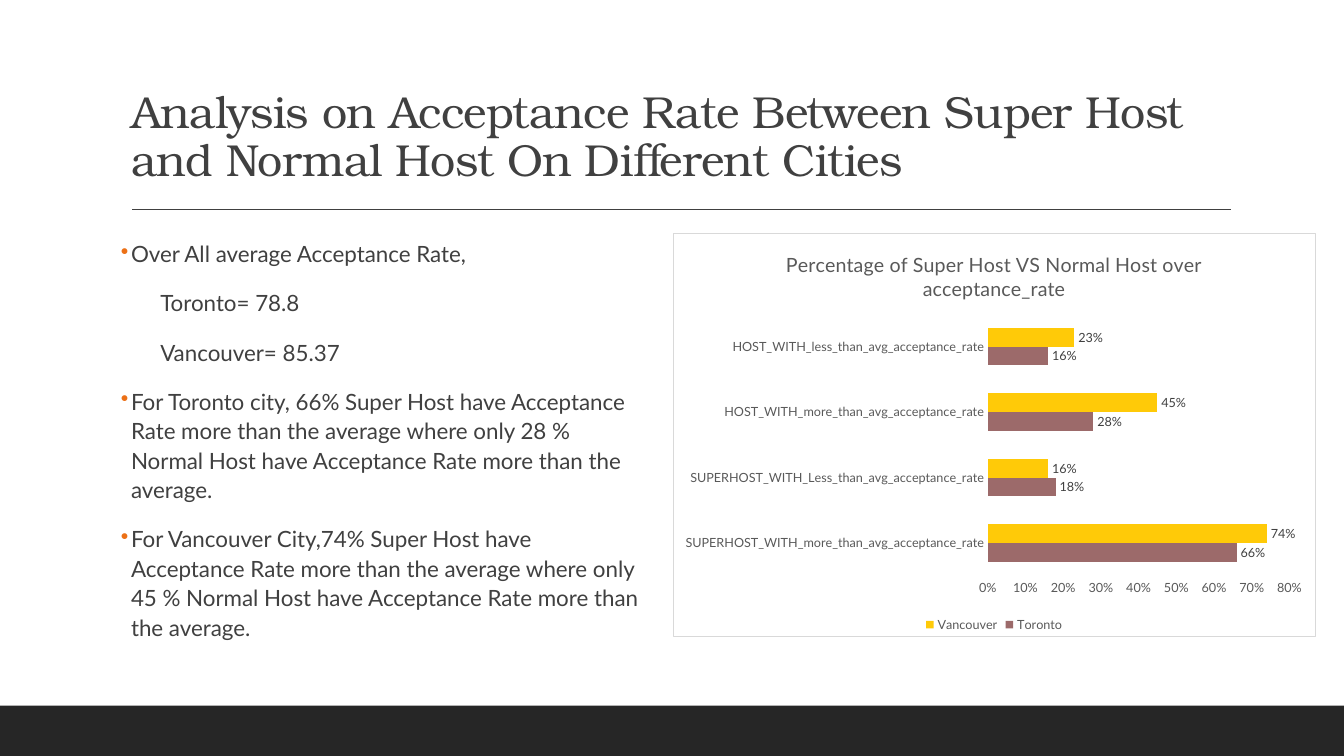
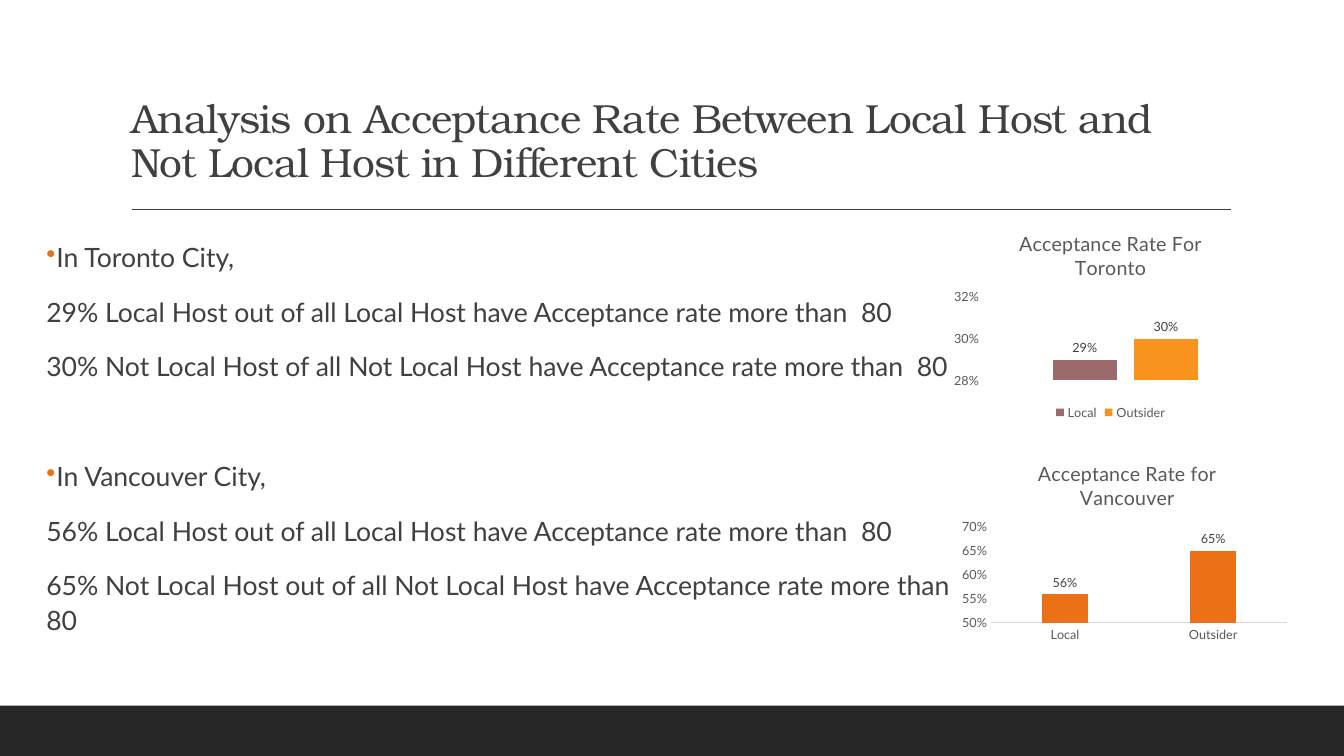
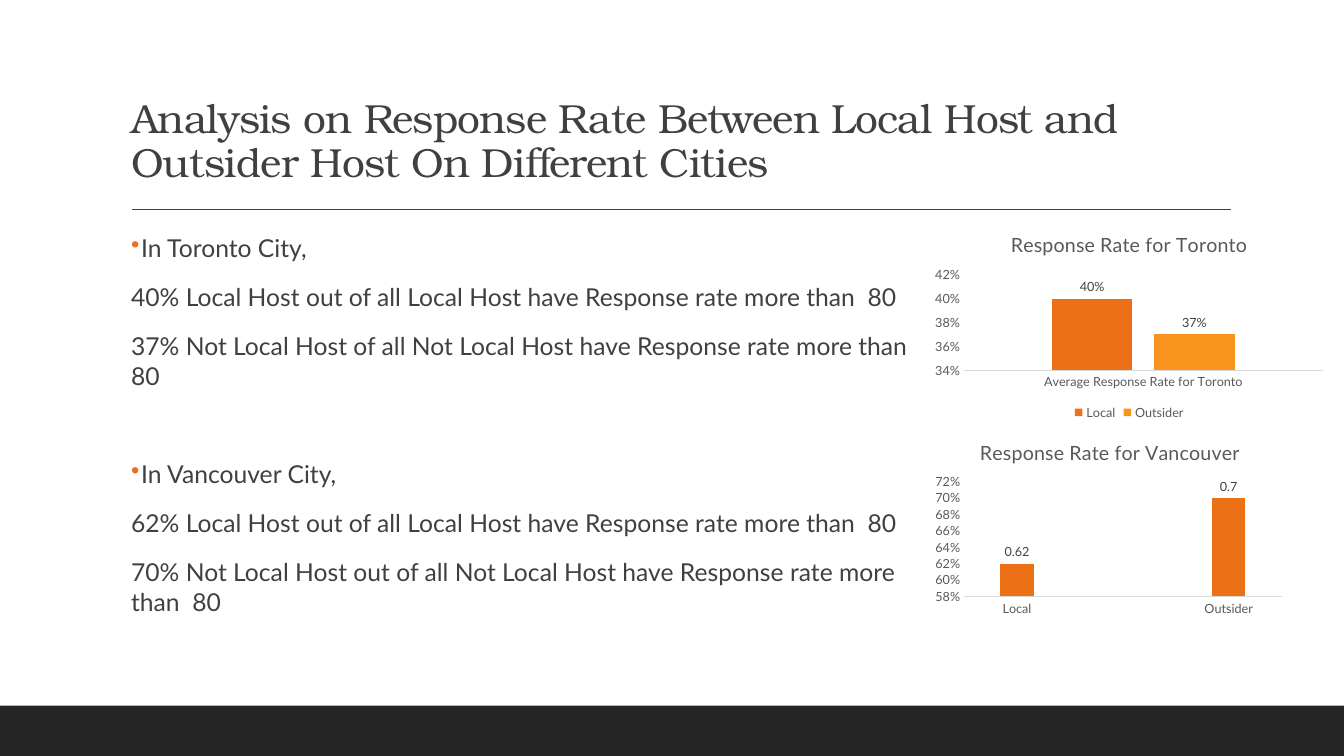
from lxml import etree
from pptx import Presentation
from pptx.chart.data import CategoryChartData
from pptx.dml.color import RGBColor
from pptx.enum import chart as kinds, shapes, text
from pptx.oxml import parse_xml
from pptx.oxml.ns import nsdecls, qn
from pptx.util import Inches, Pt

# Shared style
DARK = RGBColor(0x26, 0x26, 0x26)
INK = RGBColor(0x40, 0x40, 0x40)
GREY = RGBColor(0x59, 0x59, 0x59)
RULE = RGBColor(0xD9, 0xD9, 0xD9)
ORANGE = RGBColor(0xEC, 0x70, 0x16)
AMBER = RGBColor(0xF8, 0x93, 0x1D)
YELLOW = RGBColor(0xFF, 0xCA, 0x08)
ROSE = RGBColor(0x9C, 0x6A, 0x6A)
TITLE_FONT, BODY_FONT = "TeX Gyre Bonum", "Lato"
BEFORE, AFTER, LINE_HEIGHT = 12, 2, 1.2
BULLET, PLAIN, INDENTED = "bullet", "plain", "indented"
LEFT_MARGINS = {BULLET: 0.1, PLAIN: 0, INDENTED: 0.39}

# Content: body lines are (style, text); an empty tuple opens a one-line gap.
# Chart "plot" is the inner plot area as fractions of the chart.
SLIDES = [
    {
        "title": "Analysis on Acceptance Rate Between Super Host and Normal Host On Different Cities",
        "title_size": 32,
        "body": {"at": (1.2, 2.31, 5.16, 4.11), "size": 16, "spacing": 1.1},
        "lines": [
            (BULLET, "Over All average Acceptance Rate,"),
            (INDENTED, "Toronto= 78.8"),
            (INDENTED, "Vancouver= 85.37"),
            (BULLET, "For Toronto city, 66% Super Host have Acceptance Rate more than the average "
                     "where only 28 % Normal Host have Acceptance Rate more than the average."),
            (BULLET, "For Vancouver City,74% Super Host have Acceptance Rate more than the average "
                     "where only 45 % Normal Host have Acceptance Rate more than the average."),
        ],
        "charts": [
            {"at": (6.67, 2.31, 6.38, 4.01), "plot": (0.49, 0.2, 0.47, 0.65),
             "title": "Percentage of Super Host VS Normal Host over acceptance_rate",
             "categories": ["SUPERHOST_WITH_more_than_avg_acceptance_rate",
                            "SUPERHOST_WITH_Less_than_avg_acceptance_rate",
                            "HOST_WITH_more_than_avg_acceptance_rate",
                            "HOST_WITH_less_than_avg_acceptance_rate"],
             "series": [("Toronto", ROSE, (0.66, 0.18, 0.28, 0.16)),
                        ("Vancouver", YELLOW, (0.74, 0.16, 0.45, 0.23))],
             "scale": (0, 0.8, 0.1), "horizontal": True},
        ],
    },
    {
        "title": "Analysis on Acceptance Rate Between Local Host and Not Local Host in Different Cities",
        "title_size": 29,
        "body": {"at": (0.46, 2.31, 9.03, 4.11), "size": 19, "spacing": 1.1},
        "lines": [
            (BULLET, "In Toronto City,"),
            (PLAIN, "29% Local Host out of all Local Host have Acceptance rate more than  80"),
            (PLAIN, "30% Not Local Host of all Not Local Host have Acceptance rate more than  80"),
            (),
            (BULLET, "In Vancouver City,"),
            (PLAIN, "56% Local Host out of all Local Host have Acceptance rate more than  80"),
            (PLAIN, "65% Not Local Host out of all Not Local Host have Acceptance rate more than  80"),
        ],
        "charts": [
            {"at": (9.49, 4.43, 3.38, 1.99), "plot": (0.1, 0.4, 0.87, 0.48),
             "title": "Acceptance Rate for Vancouver", "categories": ["Local", "Outsider"],
             "series": [("Series 1", ORANGE, (0.56, 0.65))], "scale": (0.5, 0.7, 0.05)},
            {"at": (9.39, 2.14, 3.25, 2.07), "plot": (0.11, 0.39, 0.87, 0.4),
             "title": "Acceptance Rate For Toronto", "categories": ["1"],
             "series": [("Local", ROSE, (0.29,)), ("Outsider", AMBER, (0.3,))],
             "scale": (0.28, 0.32, 0.02), "show_categories": False},
        ],
    },
    {
        "title": "Analysis on Response Rate Between Local Host and Outsider Host On Different Cities",
        "title_size": 29,
        "body": {"at": (1.3, 2.26, 7.78, 4.11), "size": 17.6, "spacing": 1.0},
        "lines": [
            (BULLET, "In Toronto City,"),
            (PLAIN, "40% Local Host out of all Local Host have Response rate more than  80"),
            (PLAIN, "37% Not Local Host of all Not Local Host have Response rate more than  80"),
            (),
            (BULLET, "In Vancouver City,"),
            (PLAIN, "62% Local Host out of all Local Host have Response rate more than  80"),
            (PLAIN, "70% Not Local Host out of all Not Local Host have Response rate more than  80"),
        ],
        "charts": [
            {"at": (9.2, 2.15, 4, 2.06), "plot": (0.09, 0.28, 0.89, 0.46),
             "title": "Response Rate for Toronto",
             "categories": ["Average Response Rate for Toronto"],
             "series": [("Local", ORANGE, (0.4,)), ("Outsider", AMBER, (0.37,))],
             "scale": (0.34, 0.42, 0.02)},
            {"at": (9.2, 4.22, 3.62, 1.93), "plot": (0.1, 0.29, 0.87, 0.59),
             "title": "Response Rate for Vancouver", "categories": ["Local", "", "Outsider"],
             "series": [("Series 1", ORANGE, (0.62, None, 0.7))],
             "scale": (0.58, 0.72, 0.02), "label_format": "General"},
        ],
    },
]


def set_font(font, size, color, name=BODY_FONT):
    font.size, font.name, font.bold = Pt(size), name, False
    font.color.rgb = color


def write(para, content, size, color=INK, name=BODY_FONT, spacing=1.0,
          before=0, after=0, tracking=None):
    para.alignment = text.PP_ALIGN.LEFT
    para.line_spacing = spacing
    para.space_before, para.space_after = Pt(before), Pt(after)
    span = para.add_run()
    span.text = content
    set_font(span.font, size, color, name)
    if tracking is not None:
        span.font._element.set("spc", str(round(tracking * 100)))


def add_frame(page):
    """Footer band and the rule below the title."""
    band = page.shapes.add_shape(shapes.MSO_SHAPE.RECTANGLE, 0, Inches(7), Inches(13.33), Inches(0.5))
    band.shadow.inherit = False
    band.fill.solid()
    band.fill.fore_color.rgb = DARK
    band.line.fill.background()
    rule = page.shapes.add_connector(shapes.MSO_CONNECTOR.STRAIGHT, Inches(1.31), Inches(2.08),
                                     Inches(12.21), Inches(2.08))
    rule.line.color.rgb = INK
    rule.line.width = Pt(1)
    etree.SubElement(rule._element.spPr, qn("a:effectLst"))


def add_title(page, content, size):
    box = page.shapes.title
    box.left, box.top, box.width, box.height = map(Inches, (1.2, 0.31, 11, 1.59))
    frame = box.text_frame
    frame.auto_size = text.MSO_AUTO_SIZE.NONE
    frame.vertical_anchor = text.MSO_ANCHOR.BOTTOM
    write(frame.paragraphs[0], content, size, name=TITLE_FONT, spacing=0.9, tracking=-0.5)


def add_body(page, lines, at, size, spacing):
    frame = page.shapes.add_textbox(*map(Inches, at)).text_frame
    frame.word_wrap = True
    frame.margin_left = frame.margin_right = 0
    para, before = frame.paragraphs[0], BEFORE
    for line in lines:
        if not line:
            before += BEFORE + AFTER + size * LINE_HEIGHT * spacing
            continue
        style, content = line
        para = para if not para.runs else frame.add_paragraph()
        write(para, content, size, spacing=spacing, before=before, after=AFTER)
        before = BEFORE
        props = para._p.get_or_add_pPr()
        props.set("marL", str(Inches(LEFT_MARGINS[style])))
        props.set("indent", str(Inches(-0.1 if style == BULLET else 0)))
        if style == BULLET:
            color = etree.SubElement(props, qn("a:buClr"))
            etree.SubElement(color, qn("a:srgbClr"), val=str(ORANGE))
            etree.SubElement(props, qn("a:buChar"), char="•")


def place_plot(chart, fractions):
    area = chart.element.find(".//" + qn("c:plotArea"))
    for old in area.findall(qn("c:layout")):
        area.remove(old)
    parts = [("layoutTarget", "inner"), ("xMode", "edge"), ("yMode", "edge")]
    parts += zip("xywh", fractions)
    inner = "".join(f'<c:{tag} val="{value}"/>' for tag, value in parts)
    area.insert(0, parse_xml(f'<c:layout {nsdecls("c")}><c:manualLayout>{inner}'
                             '</c:manualLayout></c:layout>'))


def add_border(chart):
    chart.element.find(qn("c:chart")).addnext(parse_xml(
        f'<c:spPr {nsdecls("c", "a")}><a:solidFill><a:srgbClr val="FFFFFF"/></a:solidFill>'
        f'<a:ln w="{Pt(0.75)}"><a:solidFill><a:srgbClr val="{RULE}"/></a:solidFill></a:ln></c:spPr>'))


def add_rate_chart(page, at, plot, title, categories, series, scale, horizontal=False,
                   show_categories=True, label_format="0%"):
    data = CategoryChartData(number_format="0%")
    data.categories = categories
    for name, _, values in series:
        data.add_series(name, values)
    kind = kinds.XL_CHART_TYPE.BAR_CLUSTERED if horizontal else kinds.XL_CHART_TYPE.COLUMN_CLUSTERED
    chart = page.shapes.add_chart(kind, *map(Inches, at), data).chart
    set_font(chart.font, 10, RGBColor(0, 0, 0))

    # Title and legend
    chart.has_title = True
    span = chart.chart_title.text_frame.paragraphs[0].add_run()
    span.text = title
    set_font(span.font, 14, GREY)
    chart.has_legend = len(series) > 1
    if chart.has_legend:
        chart.legend.position = kinds.XL_LEGEND_POSITION.BOTTOM
        chart.legend.include_in_layout = False
        set_font(chart.legend.font, 9, GREY)

    # Axes
    for axis in (chart.category_axis, chart.value_axis):
        axis.has_major_gridlines = False
        axis.major_tick_mark = axis.minor_tick_mark = kinds.XL_TICK_MARK.NONE
        axis.format.line.fill.background()
        set_font(axis.tick_labels.font, 9, GREY)
    if not horizontal:
        chart.category_axis.format.line.color.rgb = RULE
        chart.category_axis.format.line.width = Pt(0.75)
    chart.category_axis.visible = show_categories
    values_axis = chart.value_axis
    values_axis.minimum_scale, values_axis.maximum_scale, values_axis.major_unit = scale
    values_axis.tick_labels.number_format = "0%"
    values_axis.tick_labels.number_format_is_linked = False

    # Bars and their labels
    bars = chart.plots[0]
    bars.vary_by_categories = False
    bars.gap_width, bars.overlap = (150, 0) if horizontal else (219, -27)
    for bar, (_, color, _) in zip(bars.series, series):
        bar.format.fill.solid()
        bar.format.fill.fore_color.rgb = color
        labels = bar.data_labels
        labels.show_value = True
        labels.position = kinds.XL_LABEL_POSITION.OUTSIDE_END
        labels.number_format, labels.number_format_is_linked = label_format, False
        set_font(labels.font, 9, INK)

    place_plot(chart, plot)
    if horizontal:
        add_border(chart)


def main():
    deck = Presentation()
    deck.slide_width, deck.slide_height = Inches(13.33), Inches(7.5)
    for content in SLIDES:
        page = deck.slides.add_slide(deck.slide_layouts[5])
        add_frame(page)
        add_title(page, content["title"], content["title_size"])
        add_body(page, content["lines"], **content["body"])
        for chart in content["charts"]:
            add_rate_chart(page, **chart)
    deck.save("out.pptx")


if __name__ == "__main__":
    main()
